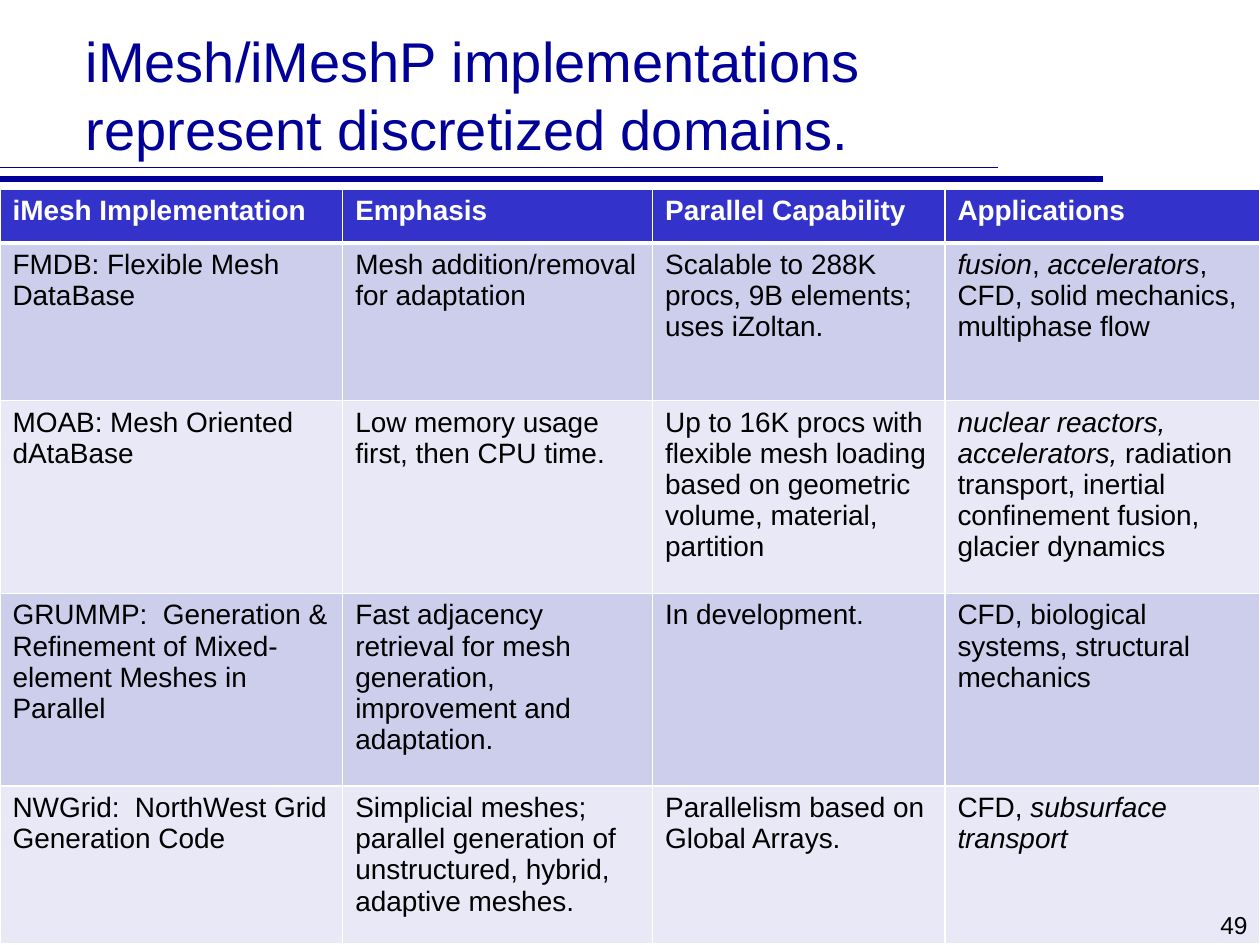
from lxml import etree
from pptx import Presentation
from pptx.dml.color import RGBColor
from pptx.enum.shapes import MSO_CONNECTOR as Conn
from pptx.enum.text import MSO_ANCHOR as Anchor, MSO_AUTO_SIZE as Fit, PP_ALIGN as Align
from pptx.oxml.ns import qn
from pptx.util import Inches, Pt

COLORS = {
    "navy": "000099",
    "head": "3333CC",
    "dark": "CDCDEC",
    "light": "E8E8F6",
    "white": "FFFFFF",
    "black": "000000",
}
WIDTHS = [2.72, 2.46, 2.32, 2.5]
HEIGHTS = [0.43, 1.25, 1.53, 1.53, 1.25]
# Asterisks enclose italic text.
ROWS = [
    ["iMesh Implementation", "Emphasis", "Parallel Capability", "Applications"],
    ["FMDB: Flexible Mesh DataBase",
     "Mesh addition/removal for adaptation",
     "Scalable to 288K procs, 9B elements; uses iZoltan.",
     "*fusion*, *accelerators*, CFD, solid mechanics, multiphase flow"],
    ["MOAB: Mesh Oriented dAtaBase",
     "Low memory usage first, then CPU time.",
     "Up to 16K procs with flexible mesh loading based on geometric "
     "volume, material, partition",
     "*nuclear reactors, accelerators,* radiation transport, inertial "
     "confinement fusion, glacier dynamics"],
    ["GRUMMP:  Generation & Refinement of Mixed-element Meshes in Parallel",
     "Fast adjacency retrieval for mesh generation, improvement and adaptation.",
     "In development.",
     "CFD, biological systems, structural mechanics"],
    ["NWGrid:  NorthWest Grid Generation Code",
     "Simplicial meshes; parallel generation of unstructured, hybrid, "
     "adaptive meshes.",
     "Parallelism based on Global Arrays.",
     "CFD, *subsurface transport*"],
]


def color(name):
    return RGBColor.from_string(COLORS[name])


def style(run, size, tint, bold=False, italic=False):
    font = run.font
    font.name, font.size = "Arial", Pt(size)
    font.bold, font.italic = bold, italic
    font.color.rgb = color(tint)


def add_title(slide, box, text):
    title = slide.shapes.title
    title.left, title.top, title.width, title.height = map(Inches, box)
    frame = title.text_frame
    frame.text = text
    frame.word_wrap = True
    frame.auto_size = Fit.NONE
    frame.vertical_anchor = Anchor.BOTTOM
    para = frame.paragraphs[0]
    para.alignment = Align.LEFT
    style(para.runs[0], 32, "navy")


def add_rule(slide, top, width, weight):
    rule = slide.shapes.add_connector(
        Conn.STRAIGHT, 0, Inches(top), Inches(width), Inches(top))
    rule.line.color.rgb = color("navy")
    rule.line.width = Pt(weight)
    etree.SubElement(rule._element.spPr, qn("a:effectLst"))


def add_edges(cell, top, bottom):
    """Draw white borders, with top and bottom weights in points."""
    props = cell._tc.get_or_add_tcPr()
    for side, weight in zip("LRTB", (1, 1, top, bottom)):
        edge = etree.SubElement(props, qn(f"a:ln{side}"), w=str(Pt(weight)))
        fill = etree.SubElement(edge, qn("a:solidFill"))
        etree.SubElement(fill, qn("a:srgbClr"), val=COLORS["white"])


def fill_cell(cell, text, row):
    add_edges(cell, 3 if row == 1 else 1, 3 if row == 0 else 1)
    cell.fill.solid()
    back = "head" if row == 0 else ("light", "dark")[row % 2]
    cell.fill.fore_color.rgb = color(back)
    para = cell.text_frame.paragraphs[0]
    for i, part in enumerate(text.split("*")):
        if part:
            run = para.add_run()
            run.text = part
            style(run, 16, "white" if row == 0 else "black",
                  bold=row == 0, italic=i % 2 == 1)


def add_grid(slide, box):
    table = slide.shapes.add_table(
        len(ROWS), len(WIDTHS), *map(Inches, box)).table
    for col, width in zip(table.columns, WIDTHS):
        col.width = Inches(width)
    for r, (height, texts) in enumerate(zip(HEIGHTS, ROWS)):
        table.rows[r].height = Inches(height)
        for c, text in enumerate(texts):
            fill_cell(table.cell(r, c), text, r)


def add_number(slide, box, text):
    frame = slide.shapes.add_textbox(*map(Inches, box)).text_frame
    frame.word_wrap = True
    frame.text = text
    para = frame.paragraphs[0]
    para.alignment = Align.RIGHT
    style(para.runs[0], 14, "black")


def main():
    deck = Presentation()
    deck.slide_width, deck.slide_height = Inches(10), Inches(7.5)
    slide = deck.slides.add_slide(deck.slide_layouts[5])
    add_rule(slide, 1.33, 7.92, 1)
    add_rule(slide, 1.42, 8.75, 3)
    add_title(slide, (0.58, 0.25, 7.67, 1.08),
              "iMesh/iMeshP implementations represent discretized domains.")
    add_grid(slide, (0, 1.5, 10, 6))
    add_number(slide, (7.92, 7.17, 2.08, 0.33), "49")
    deck.save("out.pptx")


if __name__ == "__main__":
    main()
